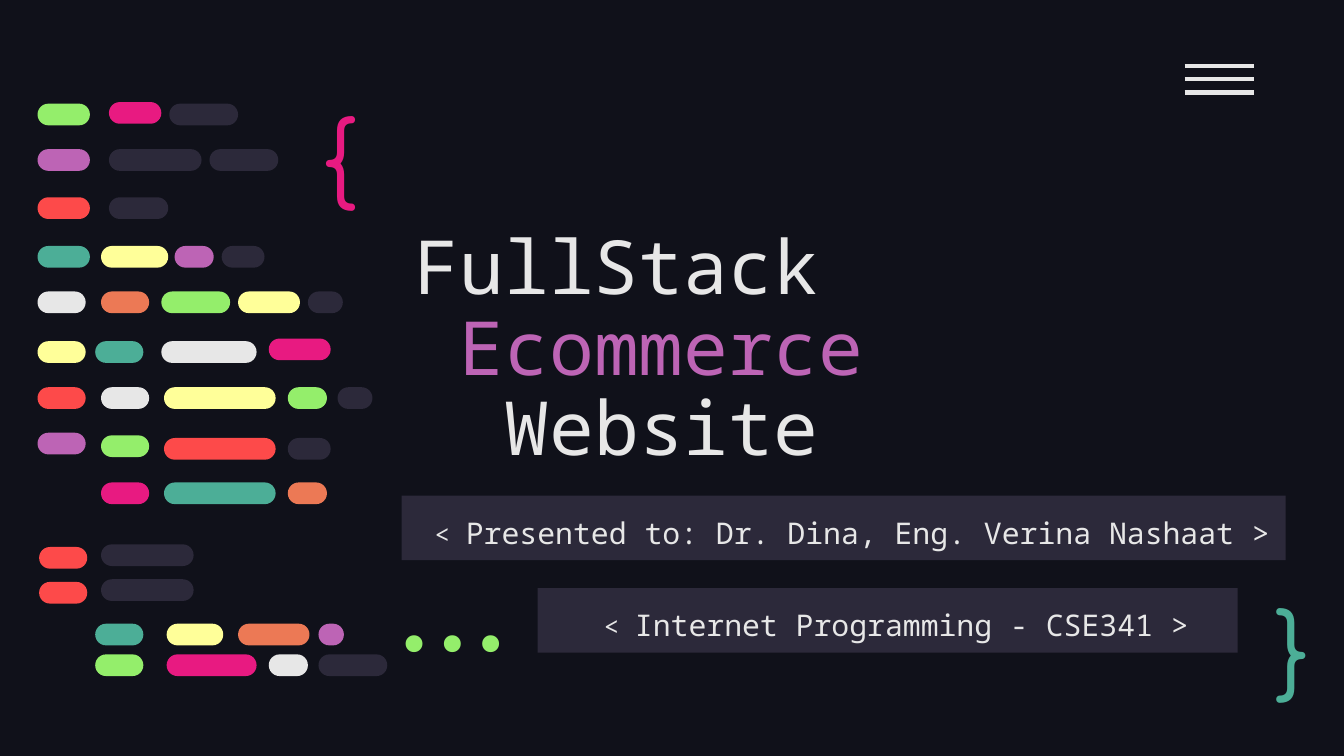
from lxml import etree
from pptx import Presentation
from pptx.dml.color import RGBColor
from pptx.enum.shapes import MSO_CONNECTOR, MSO_SHAPE
from pptx.enum.text import MSO_ANCHOR, MSO_AUTO_SIZE, PP_ALIGN
from pptx.oxml.ns import qn
from pptx.util import Cm, Pt

RECT, PILL = MSO_SHAPE.RECTANGLE, MSO_SHAPE.ROUNDED_RECTANGLE
LINE = MSO_CONNECTOR.STRAIGHT
TOP, MID, LOW = MSO_ANCHOR.TOP, MSO_ANCHOR.MIDDLE, MSO_ANCHOR.BOTTOM
LEFT, MIDST, RIGHT = PP_ALIGN.LEFT, PP_ALIGN.CENTER, PP_ALIGN.RIGHT
FIXED = MSO_AUTO_SIZE.NONE

NIGHT = RGBColor(0x10, 0x11, 0x1A)
DARK = RGBColor(0x2C, 0x29, 0x3A)
WHITE = RGBColor(0xE7, 0xE7, 0xE7)
GREEN = RGBColor(0x94, 0xEE, 0x6B)
PINK = RGBColor(0xE8, 0x1A, 0x81)
PLUM = RGBColor(0xBD, 0x64, 0xB5)
RED = RGBColor(0xFD, 0x4A, 0x4A)
TEAL = RGBColor(0x4C, 0xAE, 0x97)
LEMON = RGBColor(0xFF, 0xFF, 0x99)
CORAL = RGBColor(0xEC, 0x79, 0x55)
MONO = "Noto Sans Mono"

# Content: lengths in cm
TITLE = [("FullStack", WHITE), ("Ecommerce", PLUM), ("Website", WHITE)]
STEP = 0.85  # width of one title letter

# Banners: text, box
BANNERS = [
    ("Presented to: Dr. Dina, Eng. Verina Nashaat >", (7.59, 9.37, 16.71, 1.22)),
    ("Internet Programming - CSE341 >", (10.16, 11.12, 13.23, 1.22)),
]

# Signs: text, font, colour, align, anchor, box
SIGNS = [
    ("{", "Comfortaa", PINK, LEFT, TOP, (5.82, 1.57, 1.96, 2.41)),
    ("}", "Comfortaa", TEAL, LEFT, MID, (23.85, 11.13, 1.45, 2.11)),
    ("...", "Fira Code", GREEN, RIGHT, LOW, (6.43, 11.4, 4.01, 1.52)),
]

# Code rows: top, then bars of left, width, colour and an optional shift down
ROWS = [
    (1.96, [(0.71, 0.99, GREEN), (2.06, 0.99, PINK, -0.03), (3.2, 1.3, DARK)]),
    (2.82, [(0.71, 0.99, PLUM), (2.06, 1.75, DARK), (3.96, 1.3, DARK)]),
    (3.73, [(0.71, 0.99, RED), (2.06, 1.12, DARK)]),
    (4.65, [(0.71, 0.99, TEAL), (1.91, 1.27, LEMON), (3.3, 0.74, PLUM),
            (4.19, 0.81, DARK)]),
    (5.51, [(0.71, 0.91, WHITE), (1.91, 0.91, CORAL), (3.05, 1.3, GREEN),
            (4.5, 1.17, LEMON), (5.82, 0.66, DARK)]),
    (6.45, [(0.71, 0.91, LEMON), (1.8, 0.91, TEAL), (3.05, 1.8, WHITE),
            (5.08, 1.17, PINK, -0.05)]),
    (7.32, [(0.71, 0.91, RED), (1.91, 0.91, WHITE), (3.1, 2.11, LEMON),
            (5.44, 0.74, GREEN), (6.38, 0.66, DARK)]),
    (8.18, [(0.71, 0.91, PLUM), (1.91, 0.91, GREEN, 0.05),
            (3.1, 2.11, RED, 0.1), (5.44, 0.81, DARK, 0.1)]),
    (9.12, [(1.91, 0.91, PINK), (3.1, 2.11, TEAL), (5.44, 0.74, CORAL)]),
    (10.34, [(0.74, 0.91, RED), (1.91, 1.75, DARK, -0.05)]),
    (11, [(0.74, 0.91, RED), (1.91, 1.75, DARK, -0.05)]),
    (11.79, [(1.8, 0.91, TEAL), (3.15, 1.07, LEMON), (4.5, 1.35, CORAL),
             (6.02, 0.48, PLUM)]),
    (12.37, [(1.8, 0.91, GREEN), (3.15, 1.7, PINK), (5.08, 0.74, WHITE),
             (6.02, 1.3, DARK)]),
]
THICK = 0.41


def place(box):
    return [Cm(n) for n in box]


def frame(shape, anchor, left=0.25, wrap=True):
    tf = shape.text_frame
    tf.auto_size = FIXED
    tf.word_wrap = wrap
    tf.vertical_anchor = anchor
    tf.margin_left = Cm(left)
    tf.margin_right = tf.margin_top = tf.margin_bottom = Cm(0.25)
    return tf


def write(para, text, size, font, color):
    run = para.add_run()
    run.text = text
    run.font.size, run.font.name = Pt(size), font
    run.font.color.rgb = color


def block(kind, box, color):
    shape = slide.shapes.add_shape(kind, *place(box))
    shape.shadow.inherit = False
    shape.fill.solid()
    shape.fill.fore_color.rgb = color
    shape.line.fill.background()
    return shape


deck = Presentation()
deck.slide_width, deck.slide_height = Cm(25.4), Cm(14.29)
slide = deck.slides.add_slide(deck.slide_layouts[5])
slide.background.fill.solid()
slide.background.fill.fore_color.rgb = NIGHT

# Title, each line one letter further in
title = slide.shapes.title
title.left, title.top, title.width, title.height = place((7.59, 3.51, 16.1, 5.66))
tf = frame(title, LOW)
for i, (text, color) in enumerate(TITLE):
    para = tf.paragraphs[0] if i == 0 else tf.add_paragraph()
    para.alignment, para.line_spacing = LEFT, 0.9
    para.space_before = Pt(0)
    props = para._p.get_or_add_pPr()
    props.set("marL", str(Cm(i * STEP)))
    props.set("indent", "0")
    write(para, text, 40, MONO, color)

# Banners
for text, box in BANNERS:
    para = frame(block(RECT, box, DARK), TOP, left=0.58).paragraphs[0]
    para.alignment, para.line_spacing = MIDST, 1.15
    write(para, "< ", 14, MONO, WHITE)
    write(para, text, 16, MONO, WHITE)

# Braces and dots
for text, font, color, align, anchor, box in SIGNS:
    para = frame(slide.shapes.add_textbox(*place(box)), anchor).paragraphs[0]
    para.alignment = align
    write(para, text, 50, font, color)

# Menu icon
for i in range(3):
    y = Cm(1.25 + i * 0.25)
    bar = slide.shapes.add_connector(LINE, Cm(22.39), y, Cm(23.7), y)
    bar.line.color.rgb, bar.line.width = WHITE, Pt(2.25)
    etree.SubElement(bar._element.spPr, qn("a:effectLst"))

# Code bars
for top, bars in ROWS:
    for left, width, color, *shift in bars:
        pill = block(PILL, (left, top + sum(shift), width, THICK), color)
        pill.adjustments[0] = 0.5

deck.save("out.pptx")
